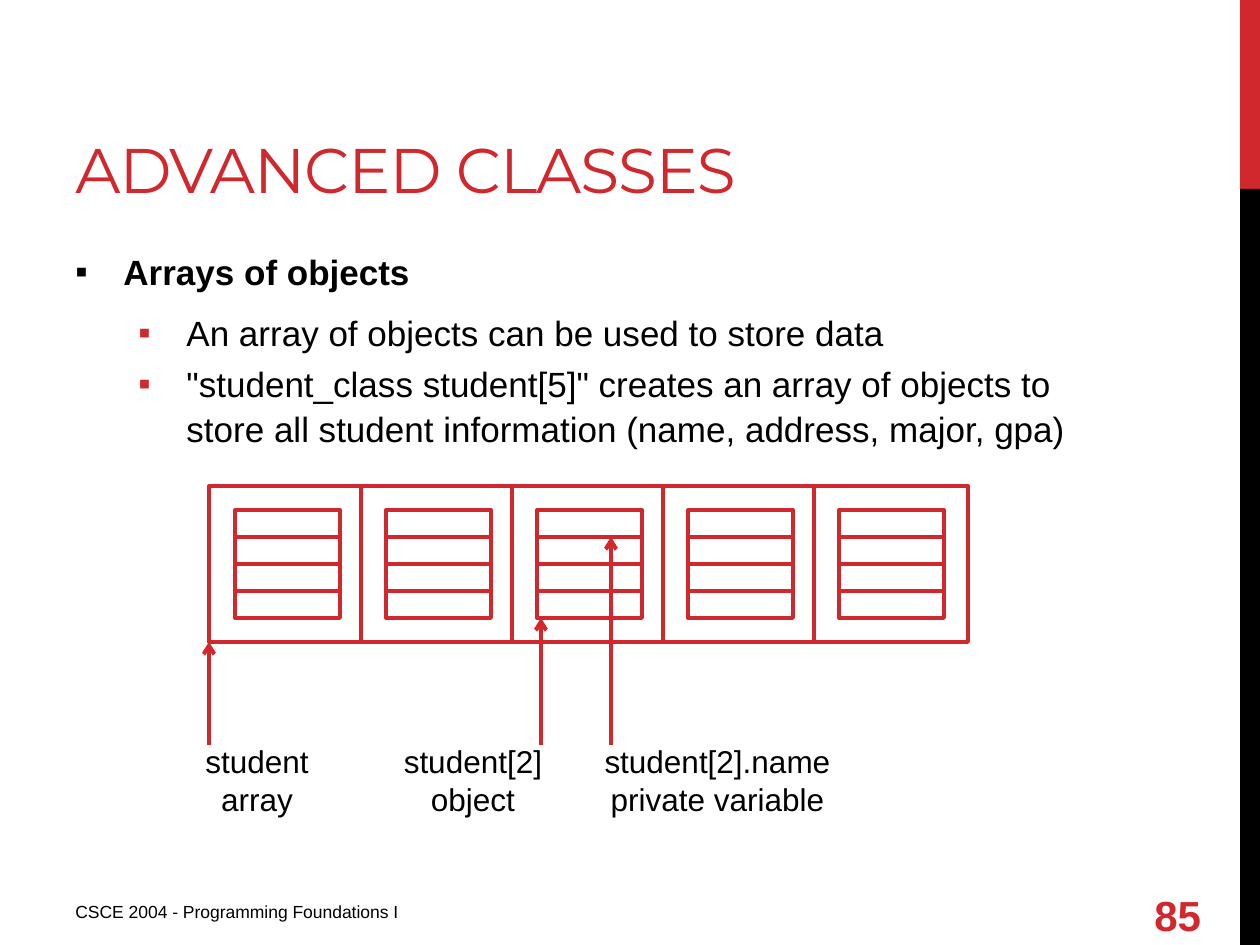
from lxml.etree import SubElement
from pptx import Presentation
from pptx.dml.color import RGBColor
from pptx.enum.shapes import MSO_CONNECTOR, MSO_SHAPE
from pptx.enum.text import MSO_ANCHOR as ANCHOR, PP_ALIGN as ALIGN
from pptx.oxml.ns import qn
from pptx.util import Emu, Pt

COLORS = {"red": "D1282E", "black": "000000"}
EMU_PER_PX = 914400 / 126
LINE_WIDTH = Pt(2.25)


def px(*lengths):
    """Turn pixel lengths into a list of EMU lengths."""
    return [Emu(round(length * EMU_PER_PX)) for length in lengths]


presentation = Presentation()
presentation.slide_width, presentation.slide_height = px(1260, 945)
slide = presentation.slides.add_slide(presentation.slide_layouts[6])
red = RGBColor.from_string(COLORS["red"])


def add_text(text, area, size, color="black", font="Arial", bold=False,
             align=ALIGN.LEFT, anchor=ANCHOR.TOP, spacing=None):
    """Add a text box, one paragraph per line of text, and return its paragraphs."""
    frame = slide.shapes.add_textbox(*px(*area)).text_frame
    frame.word_wrap = True
    frame.vertical_anchor = anchor
    frame.text = text
    for paragraph in frame.paragraphs:
        paragraph.alignment = align
        run = paragraph.runs[0]
        run.font.name = font
        run.font.size = Pt(size)
        run.font.bold = bold
        run.font.color.rgb = RGBColor.from_string(COLORS[color])
        if spacing is not None:
            run.font._element.set("spc", str(spacing))
    return frame.paragraphs


# Side bar
for top, height, color in [(0, 189, "red"), (189, 756, "black")]:
    bar = slide.shapes.add_shape(MSO_SHAPE.RECTANGLE, *px(1240, top, 20, height))
    bar.shadow.inherit = False
    bar.fill.solid()
    bar.fill.fore_color.rgb = RGBColor.from_string(COLORS[color])
    bar.line.fill.background()

# Title, footer and slide number
add_text("ADVANCED CLASSES", (63, 23, 798, 189), 36, "red", "Montserrat",
         anchor=ANCHOR.BOTTOM, spacing=-60)
add_text("CSCE 2004 - Programming Foundations I", (63, 895, 473, 39), 10)
add_text("85", (1142, 890, 93, 50), 24, "red", bold=True, anchor=ANCHOR.MIDDLE)

# Bulleted body
body = add_text(
    "Arrays of objects\n"
    "An array of objects can be used to store data\n"
    '"student_class student[5]" creates an array of objects to store all '
    "student information (name, address, major, gpa)",
    (63, 242, 1050, 602), 20)
for index, paragraph in enumerate(body):
    properties = paragraph._p.get_or_add_pPr()
    left, hanging = px(111 if index else 48, -48)
    properties.set("marL", str(left))
    properties.set("indent", str(hanging))
    bullet_color = SubElement(properties, qn("a:buClr"))
    SubElement(bullet_color, qn("a:srgbClr"), val=COLORS["red" if index else "black"])
    SubElement(properties, qn("a:buFont"), typeface="Arial")
    SubElement(properties, qn("a:buChar"), char="▪")
    paragraph.line_spacing = 1.05
    paragraph.space_before = Pt(4 if index else 0)
    paragraph.space_after = Pt(0 if index else 6)
    paragraph.level = min(index, 1)
body[0].runs[0].font.bold = True

# Array of five objects, each a record with four fields
array_left, array_top, array_width, array_height = 209, 486, 759, 156
cell_count, cell_width = 5, 151
record_top, record_width, record_height = 510, 105, 108
field_count = 4
field_height = record_height // field_count

outlines = [(array_left, array_top, array_width, array_height)]
lines = []
for cell in range(cell_count):
    cell_left = array_left + 1 + cell * cell_width
    record_left = cell_left + 25
    outlines.append((record_left, record_top, record_width, record_height))
    if cell:
        lines.append((cell_left, array_top, cell_left, array_top + array_height))
    for field in range(1, field_count):
        y = record_top + field * field_height
        lines.append((record_left, y, record_left + record_width, y))

for area in outlines:
    outline = slide.shapes.add_shape(MSO_SHAPE.RECTANGLE, *px(*area))
    outline.shadow.inherit = False
    outline.fill.background()
    outline.line.color.rgb = red
    outline.line.width = LINE_WIDTH

# Labels and their arrows
label_top = 736
arrow_start = 745
arrows = []
for text, left, width, arrow_x, arrow_end in [
    ("student\narray", 163, 188, 209, 642),
    ("student[2]\nobject", 379, 188, 541, 618),
    ("student[2].name\nprivate variable", 572, 291, 611, 537),
]:
    add_text(text, (left, label_top, width, 89), 18, align=ALIGN.CENTER)
    arrows.append((arrow_x, arrow_start, arrow_x, arrow_end))

for ends in lines + arrows:
    connector = slide.shapes.add_connector(MSO_CONNECTOR.STRAIGHT, *px(*ends))
    connector.line.color.rgb = red
    connector.line.width = LINE_WIDTH
    if ends in arrows:
        SubElement(connector.line._get_or_add_ln(), qn("a:tailEnd"), type="arrow")
    SubElement(connector._element.spPr, qn("a:effectLst"))

presentation.save("out.pptx")
